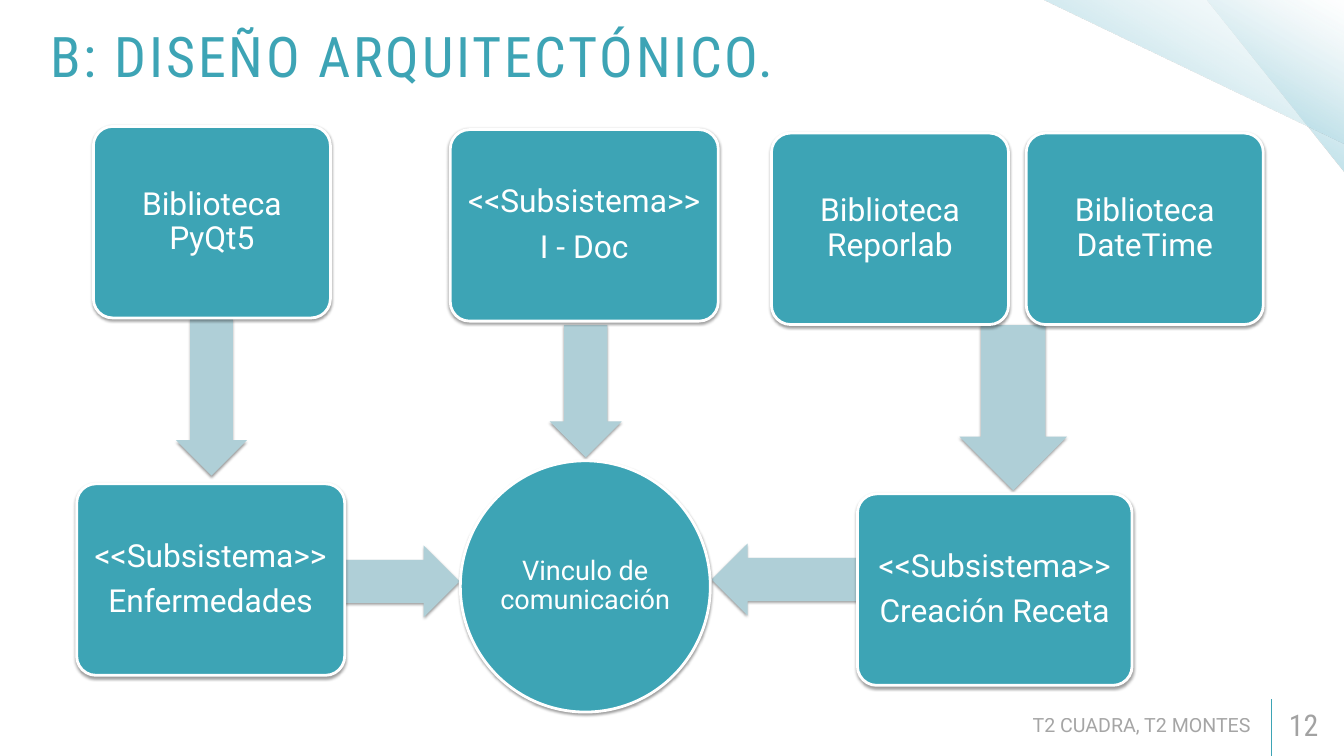
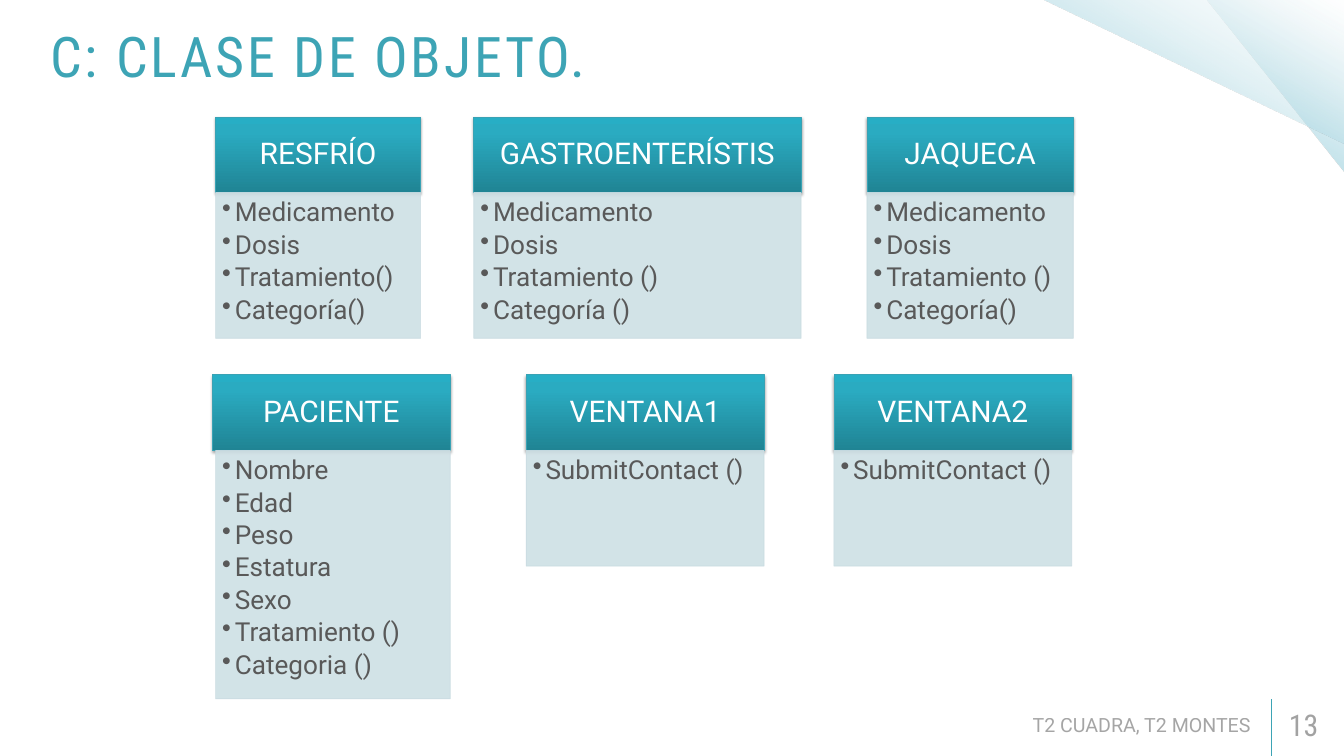
from lxml import etree
from pptx import Presentation
from pptx import util as u
from pptx.dml import color
from pptx.enum import shapes, text
from pptx.oxml import ns

Cm, Pt = u.Cm, u.Pt
PRESET = shapes.MSO_SHAPE
ALIGN = text.PP_ALIGN
MIDDLE, TOP = text.MSO_ANCHOR.MIDDLE, text.MSO_ANCHOR.TOP

SLIDE_W, SLIDE_H = 50.8, 28.58
BODY_FONT, HEAD_FONT = "Roboto", "Roboto Condensed"
TEAL, PALE_TEAL, WHITE = "3DA4B5", "AFCFD7", "FFFFFF"
HEADER_LINE, CARD_FILL, CARD_LINE = "39A2B4", "CEE0E5", "C9DBE1"
GREY, NUMBER_GREY, DARK = "808080", "A2A2A2", "595959"
# Stops: position, colour, opacity in percent
CORNER_STOPS = [(0, "97D1E0", 100), (50, "AAD7E2", 44), (100, "E0F0F4", 0)]
HEADER_STOPS = [(0, "208494", 100), (80, "2AABC1", 100), (100, "27AEC5", 100)]
FOOTER = "T2 CUADRA, T2 MONTES"

# Lengths in cm: left, top, width, height, relative to the diagram
FLOWS = [
    (PRESET.LEFT_ARROW, (24, 15.77, 6.25, 2.72)),
    (PRESET.RIGHT_ARROW, (8.86, 15.84, 5.61, 2.72)),
    (PRESET.DOWN_ARROW, (3.75, 7.26, 2.69, 5.94)),
    (PRESET.DOWN_ARROW, (17.88, 7.51, 2.72, 5)),
    (PRESET.DOWN_ARROW, (33.37, 7.51, 4.06, 6.25)),
]
MODULE_H = 7.24
# Left, top, width, lines
MODULES = [
    (0.63, 0, 8.96, ["Biblioteca PyQt5"]),
    (14.12, 0.12, 10.13, ["<<Subsistema>>", "I - Doc"]),
    (26.26, 0.25, 8.96, ["Biblioteca Reporlab"]),
    (35.89, 0.25, 8.96, ["Biblioteca DateTime"]),
    (0, 13.51, 10.13, ["<<Subsistema>>", "Enfermedades"]),
    (29.51, 13.89, 10.38, ["<<Subsistema>>", "Creación Receta"]),
]

HEADER_H = 2.86
ILLNESS_TOP, OTHER_TOP = 4.42, 14.17
# Box of the whole card, space left of its body, name, members
CLASSES = [
    ((8.15, ILLNESS_TOP, 7.75, 8.37), 0, "RESFRÍO",
     ["Medicamento", "Dosis", "Tratamiento()", "Categoría()"]),
    ((17.91, ILLNESS_TOP, 12.37, 8.37), 0, "GASTROENTERÍSTIS",
     ["Medicamento", "Dosis", "Tratamiento ()", "Categoría ()"]),
    ((32.77, ILLNESS_TOP, 7.8, 8.37), 0, "JAQUECA",
     ["Medicamento", "Dosis", "Tratamiento ()", "Categoría()"]),
    ((8.03, OTHER_TOP, 8.99, 12.25), 0.12, "PACIENTE",
     ["Nombre", "Edad", "Peso", "Estatura", "Sexo", "Tratamiento ()", "Categoria ()"]),
    ((19.89, OTHER_TOP, 8.99, 7.23), 0, "VENTANA1", ["SubmitContact ()"]),
    ((31.52, OTHER_TOP, 8.99, 7.23), 0, "VENTANA2", ["SubmitContact ()"]),
]


def rgb(value):
    return color.RGBColor.from_string(value)


def add_node(parent, tag, **attributes):
    node = etree.SubElement(parent, ns.qn(tag))
    for key, value in attributes.items():
        node.set(key, str(value))
    return node


def paint(fill, value, opacity=100):
    fill.solid()
    fill.fore_color.rgb = rgb(value)
    if opacity < 100:
        solid = fill._xPr.find(ns.qn("a:solidFill"))
        add_node(solid[0], "a:alpha", val=opacity * 1000)


def paint_gradient(shape, stops, angle):
    """Fill with stops; the angle runs counter-clockwise."""
    shape.fill.gradient()
    shape.fill.gradient_angle = angle
    stop_list = shape._element.spPr.find(".//" + ns.qn("a:gsLst"))
    for old in list(stop_list):
        stop_list.remove(old)
    for position, value, opacity in stops:
        stop = add_node(stop_list, "a:gs", pos=position * 1000)
        tint = add_node(stop, "a:srgbClr", val=value)
        add_node(tint, "a:alpha", val=opacity * 1000)


def add_preset(slide, preset, box, line=None, width=0.75, line_opacity=100):
    shape = slide.shapes.add_shape(preset, *map(Cm, box))
    shape.shadow.inherit = False
    if line:
        paint(shape.line.fill, line, line_opacity)
        shape.line.width = Pt(width)
    else:
        shape.line.fill.background()
    return shape


def drop_shadow(shape, opacity):
    effects = shape._element.spPr.find(ns.qn("a:effectLst"))
    shadow = add_node(effects, "a:outerShdw", blurRad=Pt(3.1), dist=Pt(1.7),
                      dir=90 * 60000, algn="ctr", rotWithShape=0)
    black = add_node(shadow, "a:srgbClr", val="000000")
    add_node(black, "a:alpha", val=opacity * 1000)


def write(shape, lines, size, ink, font=BODY_FONT, align=ALIGN.LEFT, anchor=MIDDLE,
          insets=(0.25, 0.13, 0.25, 0.13), opacity=100, spacing=None, after=0):
    """Set the lines as paragraphs; insets are left, top, right, bottom."""
    frame = shape.text_frame
    frame.word_wrap = True
    frame.vertical_anchor = anchor
    (frame.margin_left, frame.margin_top,
     frame.margin_right, frame.margin_bottom) = map(Cm, insets)
    frame.text = "\n".join(lines)
    for paragraph in frame.paragraphs:
        paragraph.alignment = align
        paragraph.line_spacing = spacing
        paragraph.space_after = Pt(after)
        for run in paragraph.runs:
            run.font.size = Pt(size)
            run.font.name = font
            paint(run.font.fill, ink, opacity)
    return frame.paragraphs


def add_corner(slide):
    for width, height in [(5.18, 6.53), (11.38, 5.41)]:
        triangle = add_preset(slide, PRESET.RIGHT_TRIANGLE,
                              (SLIDE_W - width, 0, width, height))
        triangle.rotation = 180
        paint_gradient(triangle, CORNER_STOPS, 240)


def add_title(slide, title, box):
    heading = slide.shapes.add_textbox(*map(Cm, box))
    paragraphs = write(heading, [title], 60, TEAL, HEAD_FONT)
    paragraphs[0].runs[0].font._element.set("spc", "300")


def add_footer(slide, number, left, top):
    divider_x = left + 21.9
    divider = slide.shapes.add_connector(
        shapes.MSO_CONNECTOR.STRAIGHT,
        *map(Cm, (divider_x, SLIDE_H, divider_x, top - 0.23)))
    paint(divider.line.fill, TEAL)
    divider.line.width = Pt(1)
    add_node(divider._element.spPr, "a:effectLst")
    insets = (0.46, 0.23, 0.46, 0.23)
    page = slide.shapes.add_textbox(*map(Cm, (left + 22.12, top, 2.51, 1.52)))
    write(page, [str(number)], 32, NUMBER_GREY, HEAD_FONT, insets=insets)
    authors = slide.shapes.add_textbox(*map(Cm, (left, top, 21.59, 1.52)))
    write(authors, [FOOTER], 21, GREY, align=ALIGN.RIGHT, insets=insets, opacity=70)


def new_slide(deck, title, number):
    slide = deck.slides.add_slide(deck.slide_layouts[6])
    add_corner(slide)
    add_title(slide, title, (1.65, 0.53, 46.51, 3.12))
    add_footer(slide, number, 26.14, 26.64)
    return slide


def add_flow(slide, preset, box):
    arrow = add_preset(slide, preset, box)
    arrow.adjustments[0] = 0.6
    arrow.adjustments[1] = 0.5
    paint(arrow.fill, PALE_TEAL)
    drop_shadow(arrow, 38)


def add_module(slide, preset, box, lines, size, inset):
    module = add_preset(slide, preset, box, WHITE, 3)
    if preset == PRESET.ROUNDED_RECTANGLE:
        module.adjustments[0] = 0.1
    paint(module.fill, TEAL)
    drop_shadow(module, 38)
    write(module, lines, size, WHITE, align=ALIGN.CENTER, insets=[inset] * 4,
          spacing=0.9, after=12)


def draw_architecture(slide, left, top):
    for preset, (x, y, width, height) in FLOWS:
        add_flow(slide, preset, (left + x, top + y, width, height))
    add_module(slide, PRESET.OVAL, (left + 14.5, top + 12.64, 9.45, 9.5),
               ["Vinculo de comunicación"], 29, 0)
    for x, y, width, lines in MODULES:
        add_module(slide, PRESET.ROUNDED_RECTANGLE,
                   (left + x, top + y, width, MODULE_H), lines, 34, 0.18)


def add_bullet(paragraph):
    paragraph.level = 1
    properties = paragraph._p.get_or_add_pPr()
    properties.set("marL", str(Cm(0.48)))
    properties.set("indent", str(-Cm(0.48)))
    add_node(properties, "a:buChar", char="•")


def draw_class(slide, box, body_offset, name, members):
    left, top, width, height = box
    header = add_preset(slide, PRESET.RECTANGLE, (left, top, width, HEADER_H), HEADER_LINE)
    paint_gradient(header, HEADER_STOPS, 90)
    drop_shadow(header, 35)
    write(header, [name], 32, WHITE, align=ALIGN.CENTER,
          insets=(0.33, 0.2, 0.33, 0.2), spacing=0.9, after=11)

    body = add_preset(slide, PRESET.RECTANGLE,
                      (left + body_offset, top + HEADER_H,
                       width - body_offset, height - HEADER_H),
                      CARD_LINE, line_opacity=90)
    paint(body.fill, CARD_FILL, 90)
    for paragraph in write(body, members, 28, DARK, anchor=TOP,
                           insets=(0.25, 0.25, 0.33, 0.38), spacing=0.9, after=4.5):
        add_bullet(paragraph)


def main():
    deck = Presentation()
    deck.slide_width, deck.slide_height = Cm(SLIDE_W), Cm(SLIDE_H)

    draw_architecture(new_slide(deck, "B: DISEÑO ARQUITECTÓNICO.", 12), 2.9, 4.78)

    class_slide = new_slide(deck, "C: CLASE DE OBJETO.", 13)
    for card in CLASSES:
        draw_class(class_slide, *card)

    deck.save("out.pptx")


if __name__ == "__main__":
    main()
